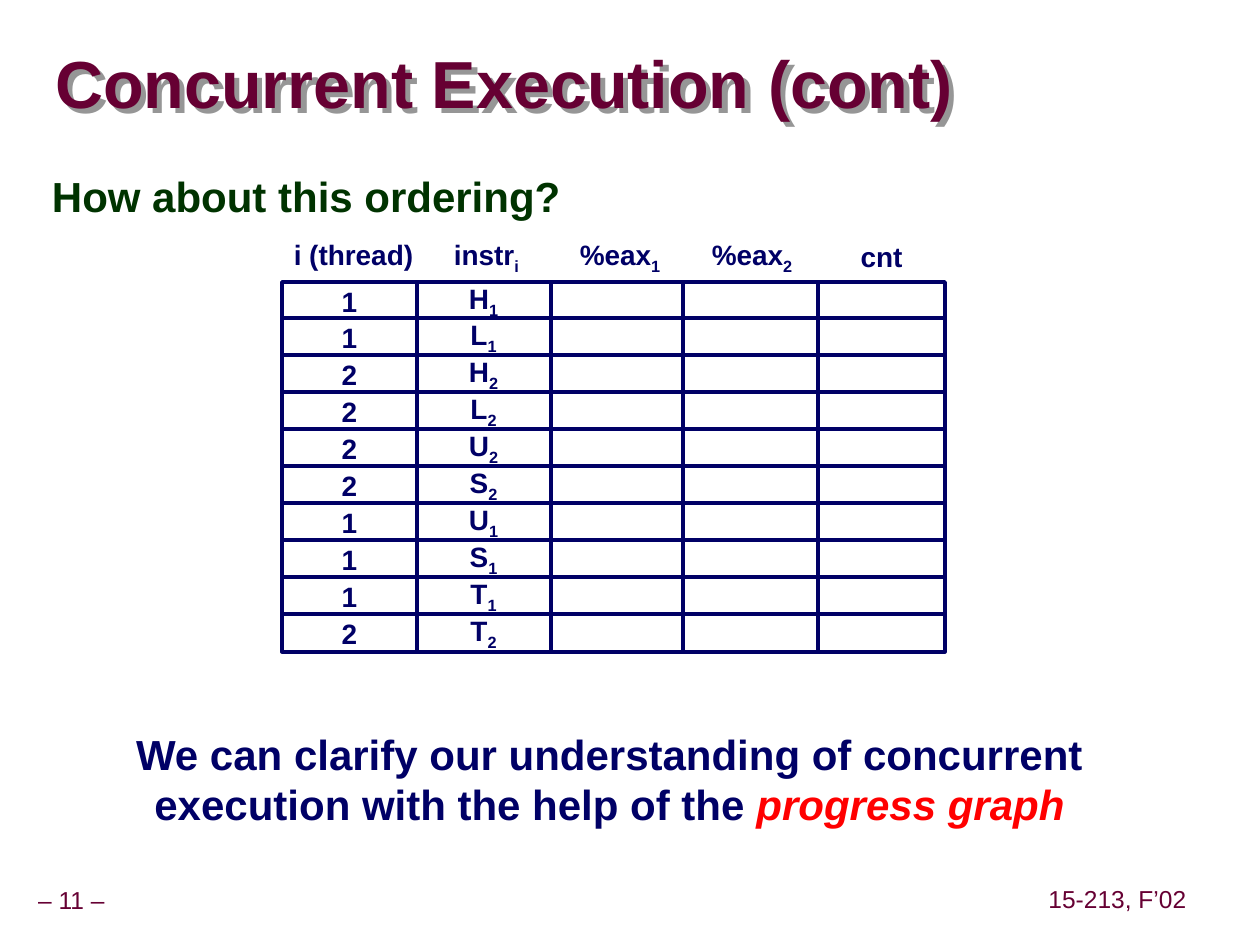
from dataclasses import dataclass
from typing import NamedTuple

from lxml.etree import SubElement as Sub
from pptx import Presentation
from pptx.dml.color import RGBColor as Rgb
from pptx.enum.shapes import MSO_SHAPE as Kind
from pptx.enum.text import MSO_ANCHOR as Anchor, MSO_AUTO_SIZE as Fit, PP_ALIGN as Align
from pptx.oxml import parse_xml
from pptx.oxml.ns import qn
from pptx.util import Emu, Pt

NS = 'xmlns:a="http://schemas.openxmlformats.org/drawingml/2006/main"'
SCALE = 914400 / 126  # EMU in one px


@dataclass(frozen=True)
class Theme:
    font: str = "Arial"
    wine: str = "660033"
    green: str = "003300"
    navy: str = "000066"
    red: str = "FF0000"
    white: str = "FFFFFF"
    shade: str = "969696"
    title: int = 38
    body: int = 24
    cell: int = 16
    foot: int = 14
    line: int = 2


class Box(NamedTuple):
    x: int
    y: int
    w: int
    h: int


class Bit(NamedTuple):
    text: str
    size: int
    color: str
    bold: bool = True
    slant: bool = False
    sub: bool = False


class Label(NamedTuple):
    box: Box
    lines: list[list[Bit]]
    pad: int = 12
    gap: float = 1.0


THEME = Theme()


def px(n: int) -> Emu:
    return Emu(round(n * SCALE))


def add_run(para, bit: Bit) -> None:
    run = para.add_run()
    run.text = bit.text
    font = run.font
    font.size, font.bold, font.italic = Pt(bit.size), bit.bold, bit.slant
    font.color.rgb = Rgb.from_string(bit.color)
    font.name = THEME.font
    if bit.sub:
        run._r.get_or_add_rPr().set("baseline", "-25000")


def pad_frame(frame, side: int, edge: int) -> None:
    frame.margin_left = frame.margin_right = px(side)
    frame.margin_top = frame.margin_bottom = px(edge)


def fill_frame(frame, lines: list[list[Bit]], pad: int = 12, gap: float = 1.0) -> None:
    frame.vertical_anchor = Anchor.MIDDLE
    pad_frame(frame, pad, 6)
    for i, bits in enumerate(lines):
        para = frame.add_paragraph() if i else frame.paragraphs[0]
        para.alignment = Align.CENTER
        para.line_spacing = gap
        for bit in bits:
            add_run(para, bit)


def add_label(slide, label: Label) -> None:
    frame = slide.shapes.add_textbox(*map(px, label.box)).text_frame
    frame.word_wrap = False
    fill_frame(frame, label.lines, label.pad, label.gap)


def add_cell(slide, box: Box, bits: list[Bit]) -> None:
    cell = slide.shapes.add_shape(Kind.RECTANGLE, *map(px, box))
    cell.shadow.inherit = False
    cell.fill.solid()
    cell.fill.fore_color.rgb = Rgb.from_string(THEME.white)
    cell.line.color.rgb = Rgb.from_string(THEME.navy)
    cell.line.width = Pt(THEME.line)
    if bits:
        fill_frame(cell.text_frame, [bits])


def add_column(slide, x: int, cells: list[list[Bit]]) -> None:
    for i, bits in enumerate(cells):
        add_cell(slide, Box(x, 282 + i * 369 // 10, 135, 38), bits)


def fill_holder(shape, box: Box, bit: Bit, gap: float):
    shape.left, shape.top, shape.width, shape.height = map(px, box)
    frame = shape.text_frame
    frame.auto_size = Fit.NONE
    para = frame.paragraphs[0]
    para.alignment = Align.LEFT
    para.line_spacing = gap
    para.space_before = Pt(0)
    add_run(para, bit)
    return frame


def indexed(text: str, index: str = "") -> list[Bit]:
    bits = [Bit(text, THEME.cell, THEME.navy)]
    if index:
        bits.append(Bit(index, THEME.cell, THEME.navy, sub=True))
    return bits


def main() -> None:
    deck = Presentation()
    deck.slide_width, deck.slide_height = px(1260), px(945)
    slide = deck.slides.add_slide(deck.slide_layouts[1])
    title, body = slide.placeholders

    # Title; without a fill, the shadow falls from its text
    bit = Bit("Concurrent Execution (cont)", THEME.title, THEME.wine)
    frame = fill_holder(title, Box(55, 34, 1201, 107), bit, 0.87)
    frame.vertical_anchor = Anchor.MIDDLE
    pad_frame(frame, 0, 0)
    title.fill.background()
    title._element.spPr.append(parse_xml(
        f'<a:effectLst {NS}><a:outerShdw dist="53882" dir="2700000" algn="ctr" '
        f'rotWithShape="0"><a:srgbClr val="{THEME.shade}"/></a:outerShdw></a:effectLst>'))

    # Question
    bit = Bit("How about this ordering?", THEME.body, THEME.green)
    frame = fill_holder(body, Box(40, 168, 1145, 719), bit, 0.95)
    frame.vertical_anchor = Anchor.TOP
    pad_frame(frame, 12, 6)
    props = frame.paragraphs[0]._p.get_or_add_pPr()
    props.set("marL", str(px(53)))
    props.set("indent", str(px(-53)))
    Sub(props, qn("a:buNone"))

    # Trace grid: instruction and thread of each step, then blank columns
    steps = [("H", "1"), ("L", "1"), ("H", "2"), ("L", "2"), ("U", "2"),
             ("S", "2"), ("U", "1"), ("S", "1"), ("T", "1"), ("T", "2")]
    blank = [[] for _ in steps]
    add_column(slide, 416, [indexed(op, thread) for op, thread in steps])
    add_column(slide, 282, [indexed(thread) for _, thread in steps])
    for x in (551, 810, 683):
        add_column(slide, x, blank)

    # Column heads, closing remark and footers
    navy, wine = THEME.navy, THEME.wine
    remark = [
        [Bit("We can clarify our understanding of concurrent", THEME.body, navy)],
        [Bit("execution with the help of the ", THEME.body, navy),
         Bit("progress graph", THEME.body, THEME.red, slant=True)],
    ]
    labels = [
        Label(Box(281, 231, 145, 47), [indexed("i (thread)")]),
        Label(Box(442, 231, 89, 52), [indexed("instr", "i")]),
        Label(Box(848, 233, 67, 47), [indexed("cnt")]),
        Label(Box(567, 231, 106, 52), [indexed("%eax", "1")]),
        Label(Box(699, 231, 106, 52), [indexed("%eax", "2")]),
        Label(Box(123, 722, 973, 113), remark),
        Label(Box(-11, 882, 165, 39), [[Bit("– 11 –", THEME.foot, wine, False)]], 6, 0.9),
        Label(Box(1042, 881, 151, 39), [[Bit("15-213, F’02", THEME.foot, wine, False)]], 6, 0.9),
    ]
    for label in labels:
        add_label(slide, label)

    deck.save("out.pptx")


if __name__ == "__main__":
    main()
